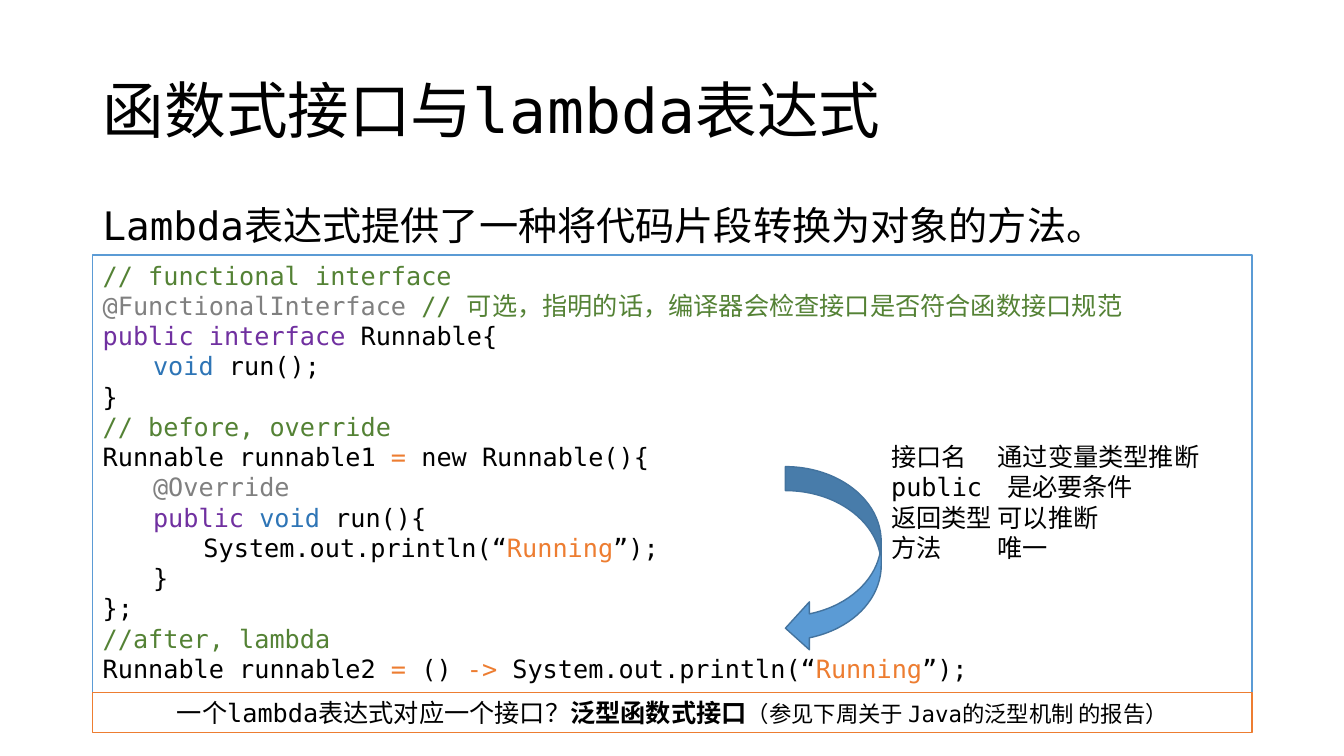
from pptx import Presentation
from pptx.dml.color import RGBColor
from pptx.enum import shapes, text
from pptx.oxml import ns
from pptx.util import Inches, Pt

FONT = "DejaVu Sans Mono"
BLACK = RGBColor(0x00, 0x00, 0x00)
WHITE = RGBColor(0xFF, 0xFF, 0xFF)
GREEN = RGBColor(0x54, 0x82, 0x35)
GRAY = RGBColor(0x80, 0x80, 0x80)
PURPLE = RGBColor(0x70, 0x30, 0xA0)
BLUE = RGBColor(0x2E, 0x75, 0xB6)
ORANGE = RGBColor(0xED, 0x7D, 0x31)
SKY = RGBColor(0x5B, 0x9B, 0xD5)
STEEL = RGBColor(0x43, 0x73, 0x9E)

LEFT, WIDTH = Inches(0.92), Inches(11.5)


def add_span(para, words, size=18, color=BLACK, bold=False):
    span = para.add_run()
    span.text = words
    span.font.name = FONT
    span.font.size = Pt(size)
    span.font.bold = bold
    span.font.color.rgb = color


def add_panel(kind, left, top, width, height, fill, line):
    panel = page.shapes.add_shape(kind, left, top, width, height)
    panel.shadow.inherit = False
    panel.fill.solid()
    panel.fill.fore_color.rgb = fill
    panel.line.color.rgb = line
    panel.line.width = Pt(1)
    return panel


deck = Presentation()
deck.slide_width, deck.slide_height = Inches(13.33), Inches(7.5)
page = deck.slides.add_slide(deck.slide_layouts[5])

title = page.shapes.title
title.left, title.top, title.width, title.height = LEFT, Inches(0.4), WIDTH, Inches(1.45)
title.text_frame.vertical_anchor = text.MSO_ANCHOR.MIDDLE
title.text_frame.auto_size = text.MSO_AUTO_SIZE.NONE
para = title.text_frame.paragraphs[0]
para.alignment = text.PP_ALIGN.LEFT
para.line_spacing = 0.9
add_span(para, "函数式接口与lambda表达式", size=44)

code_lines = [
    [("// functional interface", GREEN)],
    [("@FunctionalInterface ", GRAY), ("// 可选，指明的话，编译器会检查接口是否符合函数接口规范", GREEN)],
    [("public interface ", PURPLE), ("Runnable{", BLACK)],
    [("\t", BLACK), ("void", BLUE), (" run();", BLACK)],
    [("}", BLACK)],
    [("// before, override", GREEN)],
    [("Runnable runnable1 ", BLACK), ("=", ORANGE), (" new Runnable(){", BLACK)],
    [("\t", BLACK), ("@Override", GRAY)],
    [("\t", BLACK), ("public ", PURPLE), ("void", BLUE), (" run(){", BLACK)],
    [("\t\tSystem.out.println(“", BLACK), ("Running", ORANGE), ("”);", BLACK)],
    [("\t}", BLACK)],
    [("};", BLACK)],
    [("//after, lambda", GREEN)],
    [("Runnable runnable2 ", BLACK), ("=", ORANGE), (" () ", BLACK), ("->", ORANGE),
     (" System.out.println(“", BLACK), ("Running", ORANGE), ("”);", BLACK)],
]
code = add_panel(shapes.MSO_SHAPE.RECTANGLE, LEFT, Inches(2.53), WIDTH, Inches(4.34), WHITE, SKY)
code.text_frame.vertical_anchor = text.MSO_ANCHOR.TOP
for index, line in enumerate(code_lines):
    para = code.text_frame.add_paragraph() if index else code.text_frame.paragraphs[0]
    para.alignment = text.PP_ALIGN.LEFT
    for words, color in line:
        add_span(para, words, color=color)

intro = page.shapes.add_textbox(LEFT, Inches(2), WIDTH, Inches(0.64))
intro.text_frame.word_wrap = True
para = intro.text_frame.paragraphs[0]
para.line_spacing = 0.9
para.space_before = Pt(10)
add_span(para, "Lambda表达式提供了一种将代码片段转换为对象的方法。", size=28)

arrow = add_panel(shapes.MSO_SHAPE.CURVED_RIGHT_ARROW, Inches(7.79), Inches(4.63),
                  Inches(0.95), Inches(1.84), SKY, STEEL)
arrow.element.spPr.find(ns.qn("a:xfrm")).set("flipH", "1")

rules = page.shapes.add_textbox(Inches(8.74), Inches(4.33), Inches(3.37), Inches(1.31))
rules.text_frame.word_wrap = False
rule_lines = ["接口名\t 通过变量类型推断", "public\t 是必要条件", "返回类型 可以推断", "方法\t 唯一"]
for index, line in enumerate(rule_lines):
    para = rules.text_frame.add_paragraph() if index else rules.text_frame.paragraphs[0]
    add_span(para, line)

footer = add_panel(shapes.MSO_SHAPE.RECTANGLE, LEFT, Inches(6.87), WIDTH, Inches(0.4), WHITE, ORANGE)
para = footer.text_frame.paragraphs[0]
para.alignment = text.PP_ALIGN.CENTER
add_span(para, "一个lambda表达式对应一个接口？")
add_span(para, "泛型函数式接口", bold=True)
add_span(para, "（参见下周关于 Java的泛型机制 的报告）", size=16)

deck.save("out.pptx")
